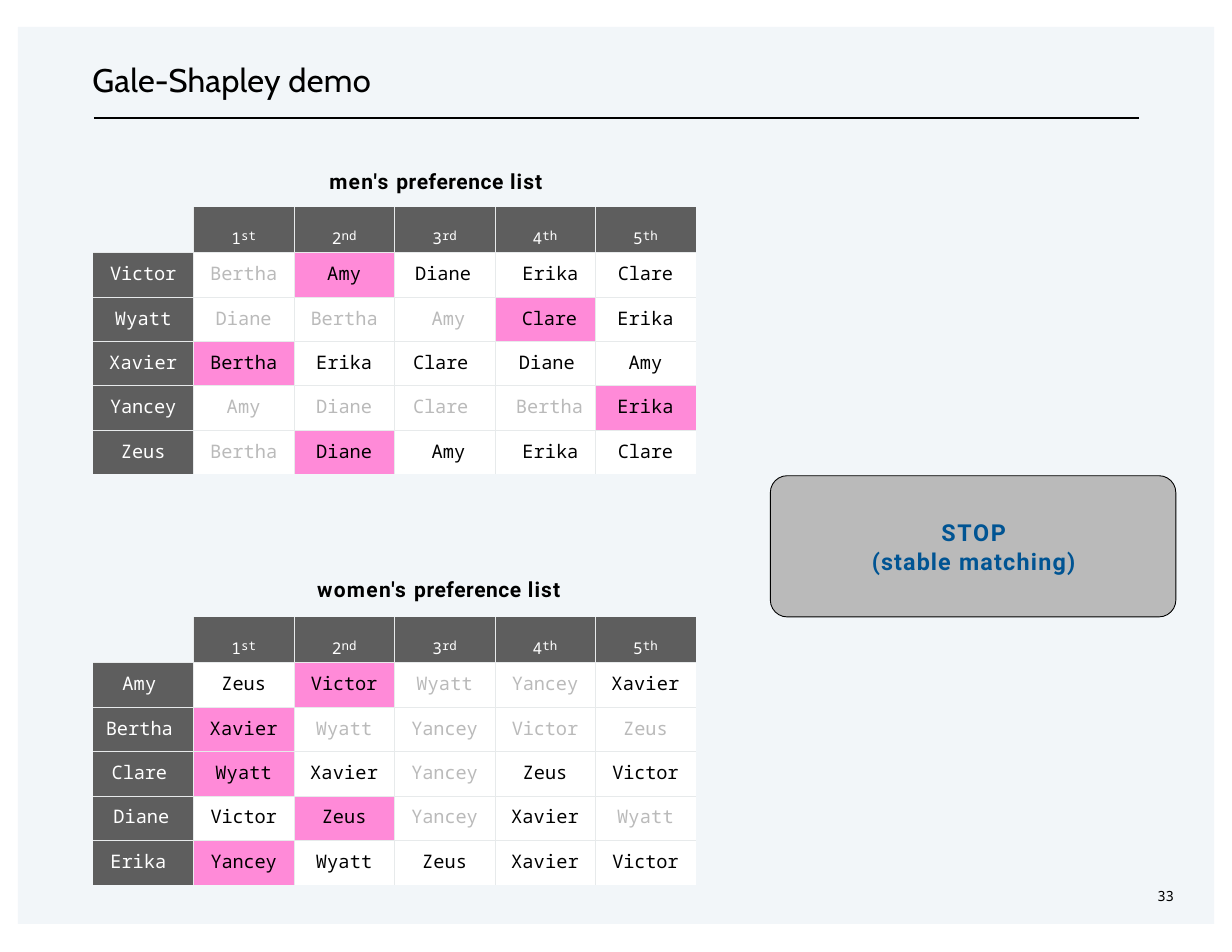
"""Build the Gale-Shapley demo slide with both preference tables."""
from typing import Any, NamedTuple

from lxml.etree import SubElement
from pptx import Presentation
from pptx.dml.color import RGBColor
from pptx.enum.shapes import MSO_CONNECTOR as Conn, MSO_SHAPE as Shape
from pptx.enum.text import MSO_ANCHOR as Anchor, MSO_AUTO_SIZE as Auto, PP_ALIGN as Align
from pptx.oxml.ns import qn
from pptx.util import Pt

BLACK = RGBColor(0x00, 0x00, 0x00)
WHITE = RGBColor(0xFF, 0xFF, 0xFF)
BLUE = RGBColor(0x00, 0x54, 0x93)
PALE = RGBColor(0xF2, 0xF6, 0xF9)
DARK = RGBColor(0x5E, 0x5E, 0x5E)
GREY = RGBColor(0xBA, 0xBA, 0xBA)
PINK = RGBColor(0xFF, 0x8A, 0xD8)
RULE = RGBColor(0xE7, 0xEA, 0xEB)

MONO = "Noto Sans Mono"
COL, ROW = 64.6, 28.56
ORDINALS = (("1", "st"), ("2", "nd"), ("3", "rd"), ("4", "th"), ("5", "th"))
SPACING = {"Victor": -0.1, "Yancey": -0.1, "Clare": -0.1,
           "Amy": 0.1, "Wyatt": 0.1, "Xavier": 0.1}


class Person(NamedTuple):
    name: str
    prefs: str
    match: int
    rejected: tuple[int, ...] = ()


class Prefs(NamedTuple):
    top: float
    people: list[Person]
    nudges: dict[tuple[int, int], float]


class Caption(NamedTuple):
    box: tuple[float, float, float, float]
    lines: list[list[tuple[str, float]]]
    font: dict[str, Any]
    align: Align = Align.LEFT


MEN = Prefs(133.1, [
    Person("Victor", "Bertha Amy Diane Erika Clare", 2, (1,)),
    Person("Wyatt", "Diane Bertha Amy Clare Erika", 4, (1, 2, 3)),
    Person("Xavier", "Bertha Erika Clare Diane Amy", 1),
    Person("Yancey", "Amy Diane Clare Bertha Erika", 5, (1, 2, 3, 4)),
    Person("Zeus", "Bertha Diane Amy Erika Clare", 2, (1,)),
], {(1, 3): -1, (2, 3): 2.5, (3, 3): -2.5, (4, 3): -2.5, (5, 3): 2.5,
    (1, 4): 3.5, (2, 4): 2.8, (3, 4): 1.2, (4, 4): 2.8, (5, 4): 3.5})

WOMEN = Prefs(396.7, [
    Person("Amy", "Zeus Victor Wyatt Yancey Xavier", 2, (3, 4)),
    Person("Bertha", "Xavier Wyatt Yancey Victor Zeus", 1, (2, 3, 4, 5)),
    Person("Clare", "Wyatt Xavier Yancey Zeus Victor", 1, (3,)),
    Person("Diane", "Victor Zeus Yancey Xavier Wyatt", 2, (3, 5)),
    Person("Erika", "Yancey Wyatt Zeus Xavier Victor", 1),
], {(1, 0): -2.5, (2, 0): -2.5, (3, 0): -2.5, (4, 0): -1.2, (5, 0): -3.2})

HEADING = {"name": "Roboto", "size": Pt(13.5), "bold": True}
LIST_WORDS = [("preference ", 0.4), ("list", 0.7)]
CAPTIONS = [
    Caption((211.7, 107.3, 150, 18), [[("men's ", 0.9), *LIST_WORDS]], HEADING),
    Caption((203.8, 369.4, 170, 18), [[("women's ", 0.9), *LIST_WORDS]], HEADING),
    Caption((547, 331.9, 158, 39), [[("STOP", 1.1)], [("(stable ", 0.7), ("matching)", 0.8)]],
            HEADING | {"size": Pt(15), "color": BLUE}, Align.CENTER),
    Caption((744, 569.5, 18, 13), [[("33", 0)]], {"name": MONO, "size": Pt(9)}),
]


def apply(obj: Any, fmt: dict[str, Any]) -> None:
    for key, value in fmt.items():
        setattr(obj, key, value)


def add_run(p: Any, text: str, fmt: dict[str, Any], spc: float = 0, base: int = 0) -> None:
    r = p.add_run()
    r.text = text
    fmt = {"color": BLACK} | fmt
    r.font.color.rgb = fmt.pop("color")
    apply(r.font, fmt)
    rpr = r.font._element if hasattr(r.font, "_element") else r._r.get_or_add_rPr()
    for key, value in (("spc", round(spc * 100)), ("baseline", base * 1000)):
        if value:
            rpr.set(key, str(value))


def fill_frame(tf: Any, lines: list, font: dict[str, Any], align: Align) -> None:
    apply(tf, {"margin_left": Pt(0), "margin_right": Pt(0), "margin_top": Pt(1),
               "margin_bottom": Pt(0), "word_wrap": True, "auto_size": Auto.NONE,
               "vertical_anchor": Anchor.TOP})
    for i, line in enumerate(lines):
        p = tf.add_paragraph() if i else tf.paragraphs[0]
        apply(p, {"alignment": align, "space_before": Pt(1)})
        for text, spc in line:
            add_run(p, text, font, spc)


def add_box(s: Any, kind: Shape, box: tuple, fill: RGBColor) -> Any:
    sp = s.shapes.add_shape(kind, *map(Pt, box))
    sp.shadow.inherit = False
    sp.fill.solid()
    sp.fill.fore_color.rgb = fill
    return sp


def paint_cell(cell: Any, fill: RGBColor, row: int, col: int) -> None:
    tcpr = cell._tc.get_or_add_tcPr()
    inner = {"L": col > 0, "R": col < 5, "T": row > 0, "B": row < 5}
    for side, shown in inner.items():
        ln = SubElement(tcpr, qn(f"a:ln{side}"), w=str(Pt(0.25)))
        paint = SubElement(ln, qn("a:solidFill" if shown else "a:noFill"))
        if shown:
            SubElement(paint, qn("a:srgbClr"), val=str(RULE))
    cell.fill.solid()
    cell.fill.fore_color.rgb = fill


def start_cell(cell: Any, top: float, nudge: float = 0) -> Any:
    apply(cell, {"margin_left": Pt(max(2 * nudge, 0)), "margin_right": Pt(max(-2 * nudge, 0)),
                 "margin_top": Pt(top), "margin_bottom": Pt(0)})
    p = cell.text_frame.paragraphs[0]
    apply(p, {"alignment": Align.CENTER, "space_before": Pt(top)})
    return p


def add_prefs(s: Any, prefs: Prefs) -> None:
    tbl = s.shapes.add_table(6, 6, Pt(59.8), Pt(prefs.top), Pt(6 * COL), Pt(6 * ROW)).table
    apply(tbl, {"first_row": False, "horz_banding": False})
    for column in tbl.columns:
        column.width = Pt(COL)
    for line in tbl.rows:
        line.height = Pt(ROW)
    paint_cell(tbl.cell(0, 0), PALE, 0, 0)
    for col, (digit, suffix) in enumerate(ORDINALS, 1):
        cell = tbl.cell(0, col)
        paint_cell(cell, DARK, 0, col)
        p = start_cell(cell, 2.1)
        font = {"name": MONO, "color": WHITE}
        add_run(p, digit, font | {"size": Pt(18)}, base=-14)
        add_run(p, suffix, font | {"size": Pt(8)})
    for row, person in enumerate(prefs.people, 1):
        for col, name in enumerate([person.name, *person.prefs.split()]):
            cell = tbl.cell(row, col)
            fill = DARK if col == 0 else PINK if col == person.match else WHITE
            color = WHITE if col == 0 else GREY if col in person.rejected else BLACK
            paint_cell(cell, fill, row, col)
            p = start_cell(cell, 5.3, prefs.nudges.get((row, col), 0))
            add_run(p, name, {"name": MONO, "size": Pt(12), "color": color},
                    SPACING.get(name, 0))


def main() -> None:
    prs = Presentation()
    apply(prs, {"slide_width": Pt(792), "slide_height": Pt(612)})
    s = prs.slides.add_slide(prs.slide_layouts[5])
    title = s.shapes.title
    apply(title, {"left": Pt(59.4), "top": Pt(37.5), "width": Pt(220), "height": Pt(28)})
    fill_frame(title.text_frame, [[("Gale-Shapley ", 0.1), ("demo", 0.2)]],
               {"name": "Cabin", "size": Pt(21)}, Align.LEFT)

    panel = add_box(s, Shape.RECTANGLE, (11.5, 17.3, 769, 576.7), BLUE)
    panel.line.fill.background()
    SubElement(next(panel.element.iter(qn("a:srgbClr"))), qn("a:alpha"), val="5000")
    title.element.addprevious(panel.element)

    rule = s.shapes.add_connector(Conn.STRAIGHT, Pt(60.4), Pt(75.9), Pt(732.4), Pt(75.9))
    rule.line.color.rgb = BLACK
    rule.line.width = Pt(0.75)
    SubElement(rule.element.find(qn("p:spPr")), qn("a:effectLst"))

    for prefs in (MEN, WOMEN):
        add_prefs(s, prefs)

    stop = add_box(s, Shape.ROUNDED_RECTANGLE, (495.2, 305.8, 260.7, 90.8), GREY)
    stop.adjustments[0] = 0.12
    stop.line.color.rgb = BLACK
    stop.line.width = Pt(0.56)

    for caption in CAPTIONS:
        tf = s.shapes.add_textbox(*map(Pt, caption.box)).text_frame
        fill_frame(tf, caption.lines, caption.font, caption.align)
    prs.save("out.pptx")


if __name__ == "__main__":
    main()
